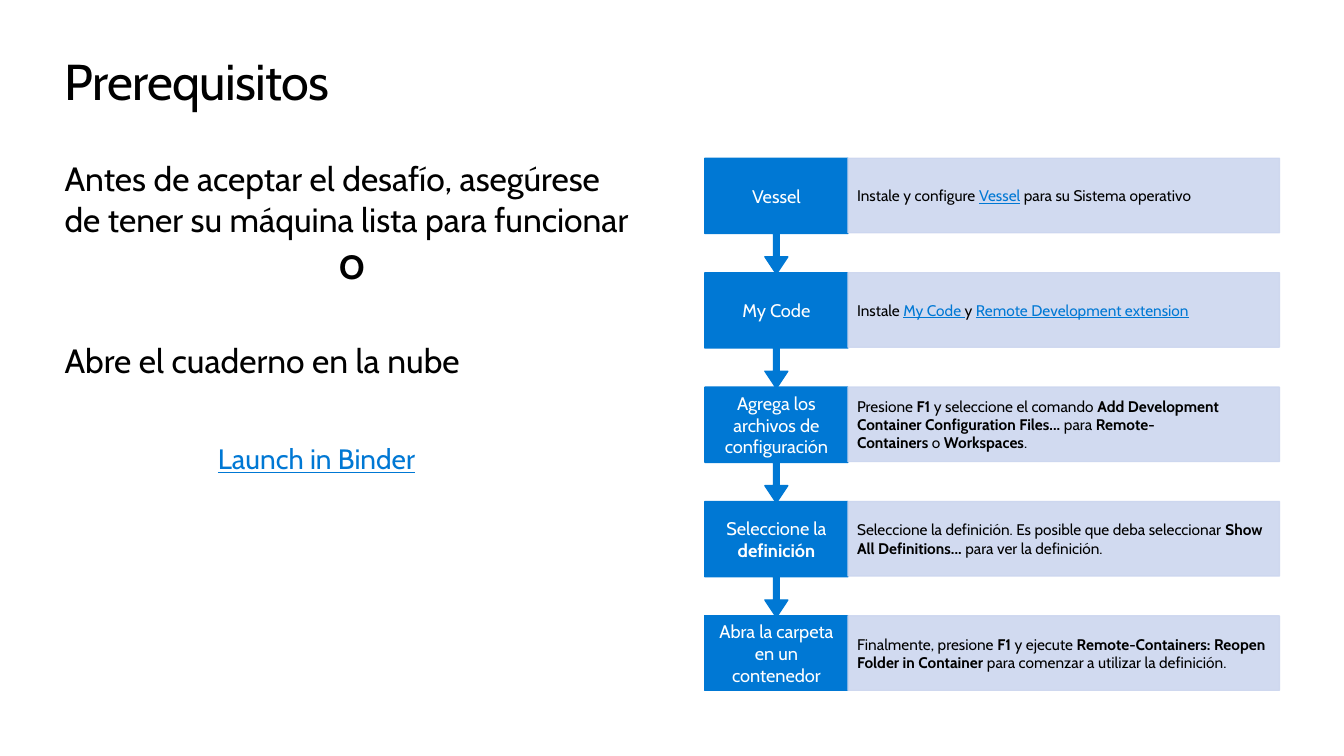
import pptx
import pptx.dml.color
import pptx.enum.shapes
import pptx.enum.text
import pptx.oxml
import pptx.oxml.ns
import pptx.util

FONT = "Cabin"
BLACK, WHITE, BLUE, LAVENDER = "000000", "FFFFFF", "0078D4", "CCD6EF"
ALIGN = pptx.enum.text.PP_ALIGN
ANCHOR = pptx.enum.text.MSO_ANCHOR
SHAPE = pptx.enum.shapes.MSO_SHAPE
NO_BREAK_SPACE = chr(160)

# Grid of the slide, in inches
MARGIN, CONTENT_TOP, CONTENT_WIDTH = 0.64, 1.57, 12.05
STEP_LEFT, STEP_WIDTH = 6.99, 1.42
DETAIL_LEFT, DETAIL_WIDTH = 8.41, 4.28
ROW_HEIGHT, CALLOUT_HEIGHT, LAST_ROW_TOP = 0.74, 1.15, 6.11

# Label, detail and the emphasis given to the pieces between bars.
# A tilde stands for a space where the line must not break.
STEPS = [
    ("Vessel", "Instale y configure |Vessel| para su Sistema operativo", "link"),
    ("My Code", "Instale~|My Code~|y~|Remote Development extension", "link"),
    ("Agrega los archivos de configuración",
     "Presione|~F1~|y seleccione el comando~|Add Development "
     "Container Configuration Files...|~para~|Remote-Containers|~o~|"
     "Workspaces|.", "bold"),
    ("Seleccione la |definición",
     "Seleccione la definición. Es posible que deba seleccionar"
     "|~Show All Definitions...|~para ver la definición.", "bold"),
    ("Abra la carpeta en un contenedor",
     "Finalmente, presione~|F1|~y ejecute~|Remote-Containers: Reopen Folder in "
     "Container |para comenzar a utilizar la definición.", "bold"),
]


def paint(color_format, color):
    color_format.rgb = pptx.dml.color.RGBColor.from_string(color)


def place(box, left, top, width, height):
    box.left, box.top, box.width, box.height = (
        pptx.util.Inches(length) for length in (left, top, width, height))


def prepare_frame(box, inset_x=0, inset_y=0, anchor=ANCHOR.TOP):
    frame = box.text_frame
    frame.word_wrap = True
    frame.auto_size = pptx.enum.text.MSO_AUTO_SIZE.NONE
    frame.vertical_anchor = anchor
    frame.margin_left = frame.margin_right = pptx.util.Inches(inset_x)
    frame.margin_top = frame.margin_bottom = pptx.util.Inches(inset_y)
    return frame


def write(para, text, size, color, align=ALIGN.LEFT, emphasis="bold"):
    """Write text; every second piece between bars is emphasised."""
    para.alignment = align
    for index, piece in enumerate(text.replace("~", NO_BREAK_SPACE).split("|")):
        span = para.add_run()
        span.text = piece
        span.font.name = FONT
        span.font.size = pptx.util.Pt(size)
        marked = index % 2 == 1
        span.font.bold = marked and emphasis == "bold"
        span.font.underline = marked and emphasis == "link"
        paint(span.font.color, BLUE if span.font.underline else color)


def remove_bullet(para):
    properties = para._p.get_or_add_pPr()
    properties.set("marL", "0")
    properties.set("indent", "0")
    properties.append(pptx.oxml.parse_xml(
        f'<a:buNone {pptx.oxml.ns.nsdecls("a")}/>'))


def set_opacity(shape, percent):
    for color in shape._element.spPr.iter(pptx.oxml.ns.qn("a:srgbClr")):
        color.append(pptx.oxml.parse_xml(
            f'<a:alpha {pptx.oxml.ns.nsdecls("a")} val="{percent * 1000}"/>'))


def add_block(page, kind, left, top, width, height, color):
    block = page.shapes.add_shape(kind, 0, 0, 0, 0)
    place(block, left, top, width, height)
    block.shadow.inherit = False
    block.fill.solid()
    paint(block.fill.fore_color, color)
    paint(block.line.color, color)
    block.line.width = pptx.util.Pt(0.85)
    return block


def add_step(page, top, label, detail, emphasis, is_last):
    # Blue label, with an arrow down to the next step
    kind, height = ((SHAPE.RECTANGLE, ROW_HEIGHT) if is_last
                    else (SHAPE.DOWN_ARROW_CALLOUT, CALLOUT_HEIGHT))
    block = add_block(page, kind, STEP_LEFT, top, STEP_WIDTH, height, BLUE)
    if not is_last:
        for index, value in enumerate((0.05, 0.1, 0.15, 0.65)):
            block.adjustments[index] = value
    frame = prepare_frame(block, 0.1, 0.1, ANCHOR.MIDDLE)
    write(frame.paragraphs[0], label, 13, WHITE, ALIGN.CENTER)

    # Pale panel with the instructions
    panel = add_block(page, SHAPE.RECTANGLE, DETAIL_LEFT, top,
                      DETAIL_WIDTH, ROW_HEIGHT, LAVENDER)
    set_opacity(panel, 90)
    frame = prepare_frame(panel, 0.09, 0.15, ANCHOR.MIDDLE)
    write(frame.paragraphs[0], detail, 11, BLACK, emphasis=emphasis)


def add_title(page, text):
    title = page.shapes.title
    place(title, MARGIN, 0.5, CONTENT_WIDTH, 0.61)
    para = prepare_frame(title).paragraphs[0]
    write(para, text, 36, BLACK)
    para.runs[0]._r.get_or_add_rPr().set("spc", "-50")


def add_introduction(page):
    body = page.placeholders[1]
    place(body, MARGIN, CONTENT_TOP, 5.7, 2.75)
    frame = prepare_frame(body)
    lines = [
        ("Antes de aceptar el desafío, asegúrese de tener su máquina lista "
         "para funcionar", ALIGN.LEFT, 0, False),
        ("O", ALIGN.CENTER, 4.8, True),
        ("Abre el cuaderno en la nube", ALIGN.LEFT, 38.4, False),
    ]
    for index, (text, align, space, bold) in enumerate(lines):
        para = frame.add_paragraph() if index else frame.paragraphs[0]
        remove_bullet(para)
        para.space_before = pptx.util.Pt(space)
        write(para, text, 24, BLACK, align)
        para.runs[0].font.bold = bold


def add_launch_link(page):
    box = page.shapes.add_textbox(0, 0, 0, 0)
    place(box, MARGIN, 4.38, 5, 0.34)
    para = prepare_frame(box).paragraphs[0]
    write(para, "Launch in Binder", 20, BLUE, ALIGN.CENTER)
    para.runs[0].font.underline = True


def main():
    deck = pptx.Presentation()
    deck.slide_width = pptx.util.Inches(13.33)
    deck.slide_height = pptx.util.Inches(7.5)
    page = deck.slides.add_slide(deck.slide_layouts[1])

    # Left column
    add_title(page, "Prerequisitos")
    add_introduction(page)
    add_launch_link(page)

    # Right column: last step first, so that each arrow lies over the next step
    last = len(STEPS) - 1
    pitch = (LAST_ROW_TOP - CONTENT_TOP) / last
    for row in range(last, -1, -1):
        add_step(page, CONTENT_TOP + row * pitch, *STEPS[row], row == last)

    deck.save("out.pptx")


if __name__ == "__main__":
    main()
